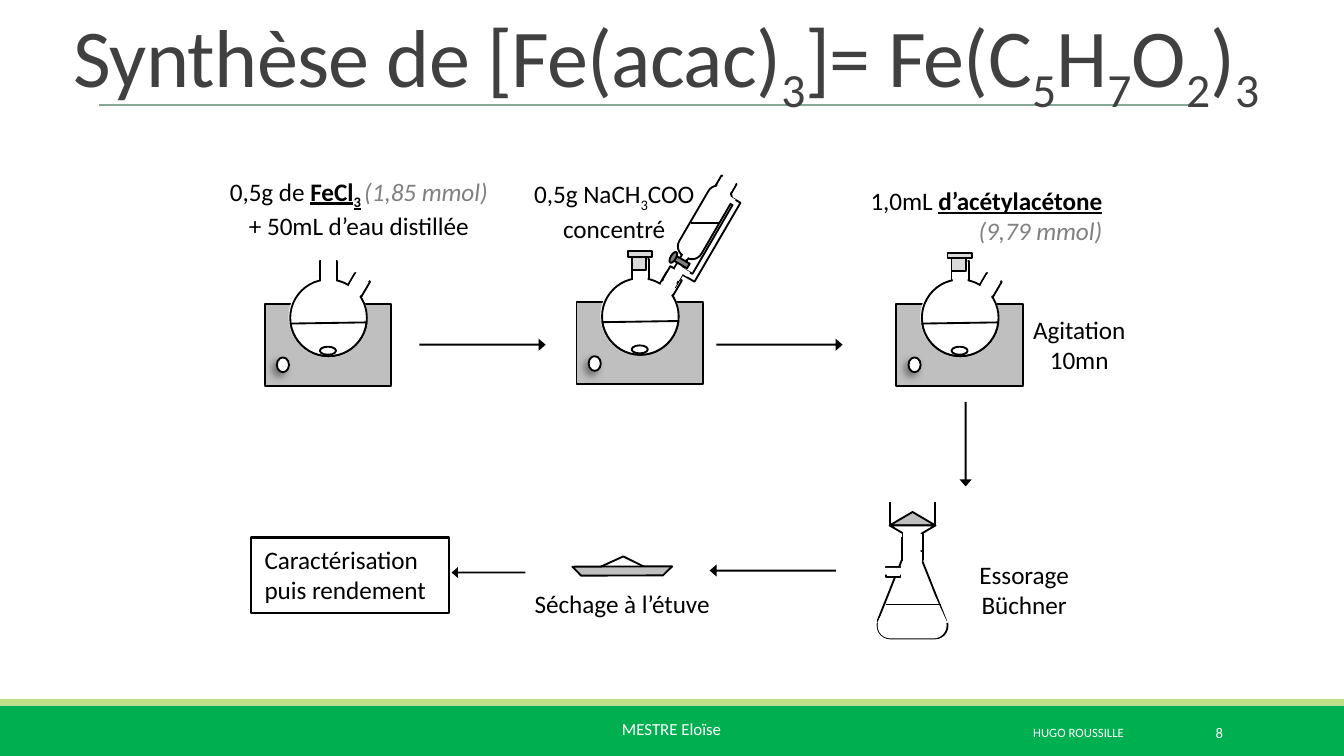
from lxml import etree
from pptx import Presentation
from pptx.dml.color import RGBColor
from pptx.enum.shapes import MSO_CONNECTOR, MSO_SHAPE as S
from pptx.enum.text import MSO_ANCHOR, MSO_AUTO_SIZE, PP_ALIGN
from pptx.oxml import parse_xml
from pptx.oxml.ns import qn
from pptx.util import Inches, Pt

BLACK, WHITE, GREY = "000000", "FFFFFF", "808080"
LEFT, MID, RIGHT = PP_ALIGN.LEFT, PP_ALIGN.CENTER, PP_ALIGN.RIGHT
BOX, OVAL, TRI, ARROW = S.RECTANGLE, S.OVAL, S.ISOSCELES_TRIANGLE, S.RIGHT_ARROW

# style: fill, line
STYLES = {
    "glass": (WHITE, BLACK), "mask": (WHITE, None), "blank": (WHITE, WHITE),
    "edge": (None, BLACK), "plate": ("BFBFBF", BLACK), "cork": ("D9D9D9", BLACK),
    "pool": ("D9D9D9", WHITE), "tap": (GREY, BLACK), "ink": (BLACK, None),
    "band": ("00B050", None), "strip": ("C1DF87", None),
}

# part: kind, style, left, top, width, height, turn, adjustments
FOOT = [(BOX, "band", 0, 5.25, 10, 0.38), (BOX, "strip", 0, 5.2, 10, 0.05)]
STIR = [(BOX, "plate", 0, 0, 0.94, 0.61)]
KNOB = (OVAL, "glass", 0.09, 0.4, 0.09, 0.11)
FLASK = [
    (S.CHORD, "pool", 0.18, -0.19, 0.58, 0.57, 292.8, 27, 162.36),
    (BOX, "glass", 0.61, -0.21, 0.13, 0.21, 30.4),
    (BOX, "glass", 0.41, -0.32, 0.13, 0.21),
    (OVAL, "glass", 0.19, -0.18, 0.57, 0.57),
    (BOX, "mask", 0.62, -0.23, 0.11, 0.24, 30.4),
    (BOX, "mask", 0.42, -0.34, 0.11, 0.24),
    (S.CHORD, "glass", 0.19, -0.18, 0.57, 0.57, 292.7, 44.47, 143.22),
    (OVAL, "glass", 0.41, 0.32, 0.12, 0.06),
]
CORK = [(BOX, "cork", 0.41, -0.34, 0.11, 0.1), (BOX, "cork", 0.38, -0.38, 0.18, 0.04)]
FLASKS = [(1.97, 2.26, []), (4.29, 2.25, CORK), (6.67, 2.26, CORK)]

FUNNEL = [
    (S.FRAME, "glass", 5.18, 1.42, 0.17, 0.68, 30.2, 0.25),
    (BOX, "glass", 5.33, 1.33, 0.13, 0.12, 30.2),
    (BOX, "glass", 5.04, 1.9, 0.05, 0.12, 30.2),
    (S.ROUNDED_RECTANGLE, "glass", 5.15, 1.36, 0.19, 0.59, 30.2, 0.42),
    (BOX, "glass", 4.95, 2, 0.11, 0.12, 30.2),
    (BOX, "tap", 5.01, 1.93, 0.12, 0.04, 30.2),
    (OVAL, "tap", 4.99, 1.87, 0.04, 0.09, 30.2),
    (BOX, "mask", 5.01, 1.98, 0.07, 0.1, 30.2),
    (BOX, "mask", 4.92, 2.08, 0.1, 0.1, 30.2),
    (BOX, "mask", 5.04, 2, 0.09, 0.04, 30.2),
    (BOX, "mask", 5.38, 1.46, 0.09, 0.04, 30.2),
    (BOX, "mask", 5.35, 1.32, 0.11, 0.11, 30.2),
    (BOX, "mask", 5.07, 1.86, 0.09, 0.04, 300.2),
]
ROUND = S.ROUND_2_SAME_RECTANGLE
FILTER = [
    (BOX, "glass", 6.71, 4, 0.16, 0.17),
    (ROUND, "glass", 6.53, 4.55, 0.52, 0.2, 180, 0.47, 0.5),
    (BOX, "blank", 6.53, 4.55, 0.52, 0.08),
    (BOX, "blank", 6.53, 4.54, 0.51, 0.08),
    (TRI, "edge", 6.53, 3.98, 0.51, 0.64),
    (BOX, "mask", 6.72, 3.9, 0.14, 0.35),
    (ROUND, "mask", 6.53, 4.55, 0.51, 0.2, 180, 0.47, 0.5),
    (S.TRAPEZOID, "blank", 6.54, 4.45, 0.5, 0.18, 0, 0.46),
    (BOX, "glass", 6.61, 4.2, 0.07, 0.11, 270),
    (BOX, "mask", 6.62, 4.14, 0.05, 0.22, 270),
    (BOX, "glass", 6.62, 3.71, 0.34, 0.2),
    (TRI, "plate", 6.62, 3.81, 0.34, 0.1),
    (BOX, "blank", 6.59, 3.66, 0.41, 0.07),
    (TRI, "glass", 6.62, 3.91, 0.34, 0.1, 180),
    (BOX, "glass", 6.72, 3.97, 0.15, 0.13),
    (BOX, "mask", 6.72, 3.94, 0.13, 0.22),
]
DISH = [
    (TRI, "glass", 4.44, 4.14, 0.38, 0.09, 0, 0.52),
    (S.DIAGONAL_STRIPE, "plate", 4.37, 3.95, 0.52, 0.53, 225.3, 0.82),
]
HEAD = (0.17, 0.58)
ARROWS = [(ARROW, "ink", *at, *HEAD) for at in (
    (3.12, 2.52, 0.94, 0.09, 0), (5.33, 2.52, 0.94, 0.09, 0),
    (6.87, 3.26, 0.63, 0.09, 90), (5.28, 4.2, 0.94, 0.09, 180),
    (3.36, 4.22, 0.55, 0.08, 180))]

# run: text, then format changes; BREAK stands for a line break
BREAK = ("\n", {})
SUB = {"base": -25}
KEY = {"bold": True, "underline": True}
NOTE = {"italic": True, "color": GREY}
BODY, TITLE = {"size": 13.5}, {"size": 44, "color": "404040", "spc": -40}
FORMULA = [("Synthèse de [Fe(acac)", {}), ("3", SUB), ("]= Fe(C", {}), ("5", SUB), ("H", {}),
           ("7", SUB), ("O", {}), ("2", SUB), (")", {}), ("3", SUB)]

# label: left, top, width, height, alignment, paragraphs of runs
LABELS = [
    (1.59, 1.26, 2.16, 0.56, MID, [
        [("0,5g de ", {}), ("FeCl", KEY), ("3", KEY | SUB), (" ", SUB), ("(1,85 mmol)", NOTE)],
        [("+ 50mL d’eau distillée", {})]]),
    (3.86, 1.28, 1.42, 0.56, MID, [
        [("0,5g NaCH", {}), ("3", SUB), ("COO", {}), BREAK, ("concentré", {})]]),
    (6.35, 1.33, 1.95, 0.56, RIGHT, [
        [("1,0mL ", {}), ("d’acétylacétone", KEY), BREAK, ("(9,79 mmol)", NOTE)]]),
    (7.58, 2.29, 0.9, 0.56, MID, [[("Agitation", {})], [("10mn", {})]]),
    (7.18, 4.11, 0.88, 0.56, MID, [[("Essorage", {})], [("Büchner", {})]]),
    (3.88, 4.33, 1.53, 0.33, LEFT, [[("Séchage à l’étuve", {})]]),
]
RESULT = [[("Caractérisation puis rendement", {})]]


def color(code):
    return RGBColor.from_string(code)


def draw(home, part, x=0, y=0):
    """Add one part to a shape tree, moved by x and y."""
    kind, style, left, top, wide, high, turn, *adjust = (*part, 0)[:7] + part[7:]
    shape = home.add_shape(kind, *map(Inches, (left + x, top + y, wide, high)))
    shape.shadow.inherit = False
    shape.rotation = turn
    for i, value in enumerate(adjust):
        shape.adjustments[i] = value
    fill, line = STYLES[style]
    for format, code in ((shape.fill, fill), (shape.line.fill, line)):
        if code:
            format.solid()
            format.fore_color.rgb = color(code)
        else:
            format.background()
    if line:
        shape.line.width = Pt(1)
    return shape


def shade(shape):
    """Give a shape a soft shadow to its lower left."""
    effects = shape._element.spPr.find(qn("a:effectLst"))
    effects.append(parse_xml(
        '<a:outerShdw xmlns:a="http://schemas.openxmlformats.org/drawingml/2006/main" '
        'blurRad="50800" dist="38100" dir="8100000" algn="tr" rotWithShape="0">'
        '<a:srgbClr val="000000"><a:alpha val="40000"/></a:srgbClr></a:outerShdw>'))


def rule(home, left, right, y, code, width):
    """Add a level line."""
    line = home.add_connector(MSO_CONNECTOR.STRAIGHT, *map(Inches, (left, y, right, y)))
    line.line.color.rgb = color(code)
    line.line.width = Pt(width)
    etree.SubElement(line._element.spPr, qn("a:effectLst"))


def write(shape, paras, look, align=LEFT, wrap=True, anchor=MSO_ANCHOR.TOP, space=None,
          fit=MSO_AUTO_SIZE.NONE):
    frame = shape.text_frame
    for name, value in {"word_wrap": wrap, "vertical_anchor": anchor, "auto_size": fit}.items():
        setattr(frame, name, value)
    for i, runs in enumerate(paras):
        para = frame.add_paragraph() if i else frame.paragraphs[0]
        para.alignment, para.line_spacing = align, space
        for text, change in runs:
            if text == "\n":
                para.add_line_break()
                continue
            run = para.add_run()
            run.text = text
            form = {"name": "Calibri", "color": BLACK, **look, **change}
            form["size"] = Pt(form["size"])
            run.font.color.rgb = color(form.pop("color"))
            base, spc = form.pop("base", 0), form.pop("spc", 0)
            for name, value in form.items():
                setattr(run.font, name, value)
            for name, value in (("baseline", base * 1000), ("spc", spc)):
                if value:
                    run.font._element.set(name, str(value))


deck = Presentation()
deck.slide_width = Inches(10)
deck.slide_height = deck.slide_width * 9 // 16
page = deck.slides.add_slide(deck.slide_layouts[6]).shapes


def label(left, top, wide, high, paras, look, **rest):
    write(page.add_textbox(*map(Inches, (left, top, wide, high))), paras, look, **rest)


def group(parts):
    home = page.add_group_shape().shapes
    for part in parts:
        draw(home, part)
    return home


for part in FOOT:
    draw(page, part)
rule(page, 0.74, 8.99, 0.78, "87A896", 1)
GROW = {"wrap": False, "fit": MSO_AUTO_SIZE.SHAPE_TO_FIT_TEXT}
label(4.53, 5.3, 0.94, 0.45, [[("MESTRE Eloïse", {})]], {"size": 9, "color": WHITE}, **GROW)
for left, wide, text, size, align in ((8.12, 1.08, "8", 7.9, RIGHT),
                                      (6.05, 3.95, "HUGO ROUSSILLE", 6.8, MID)):
    label(left, 5.3, wide, 0.3, [[(text, {})]], {"size": size, "color": WHITE},
          align=align, anchor=MSO_ANCHOR.MIDDLE)
label(0.45, 0.08, 9.54, 0.76, [FORMULA], TITLE, anchor=MSO_ANCHOR.BOTTOM, space=0.85)

rule(group(FILTER), 6.59, 7, 4.5, BLACK, 0.75)
for x, y, cork in FLASKS:
    home = page.add_group_shape().shapes
    for part in STIR + [KNOB] + FLASK + cork:
        shape = draw(home, part, x, y)
        if part is KNOB:
            shade(shape)
rule(group(FUNNEL), 5.14, 5.35, 1.66, BLACK, 0.75)
group(DISH)
for part in ARROWS:
    draw(page, part)
for *at, align, paras in LABELS:
    label(*at, paras, BODY, align=align, **GROW)
box = draw(page, (BOX, "glass", 1.87, 4, 1.47, 0.56))
box.line.width = Pt(1.25)
write(box, RESULT, BODY, fit=MSO_AUTO_SIZE.SHAPE_TO_FIT_TEXT)

deck.save("out.pptx")
